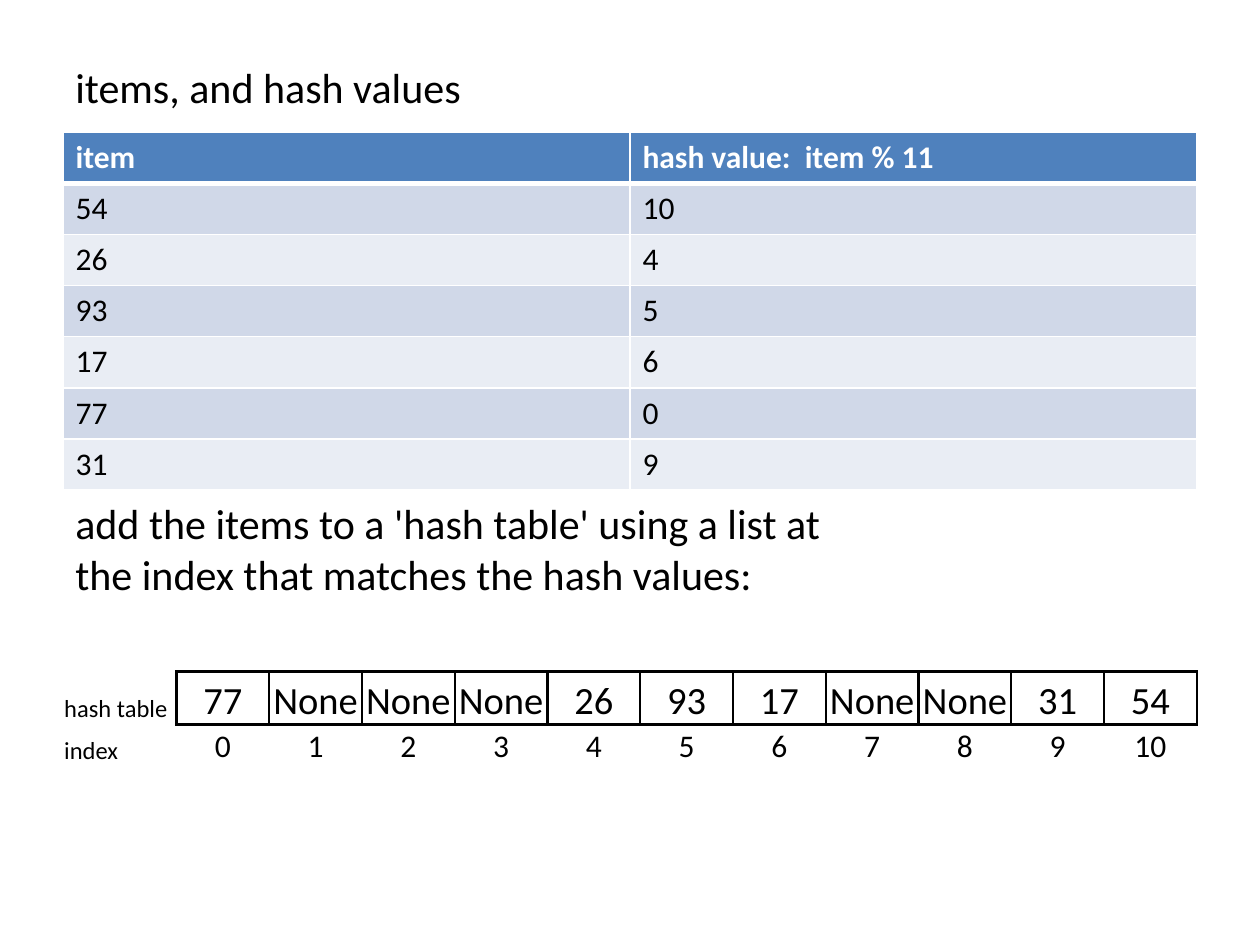
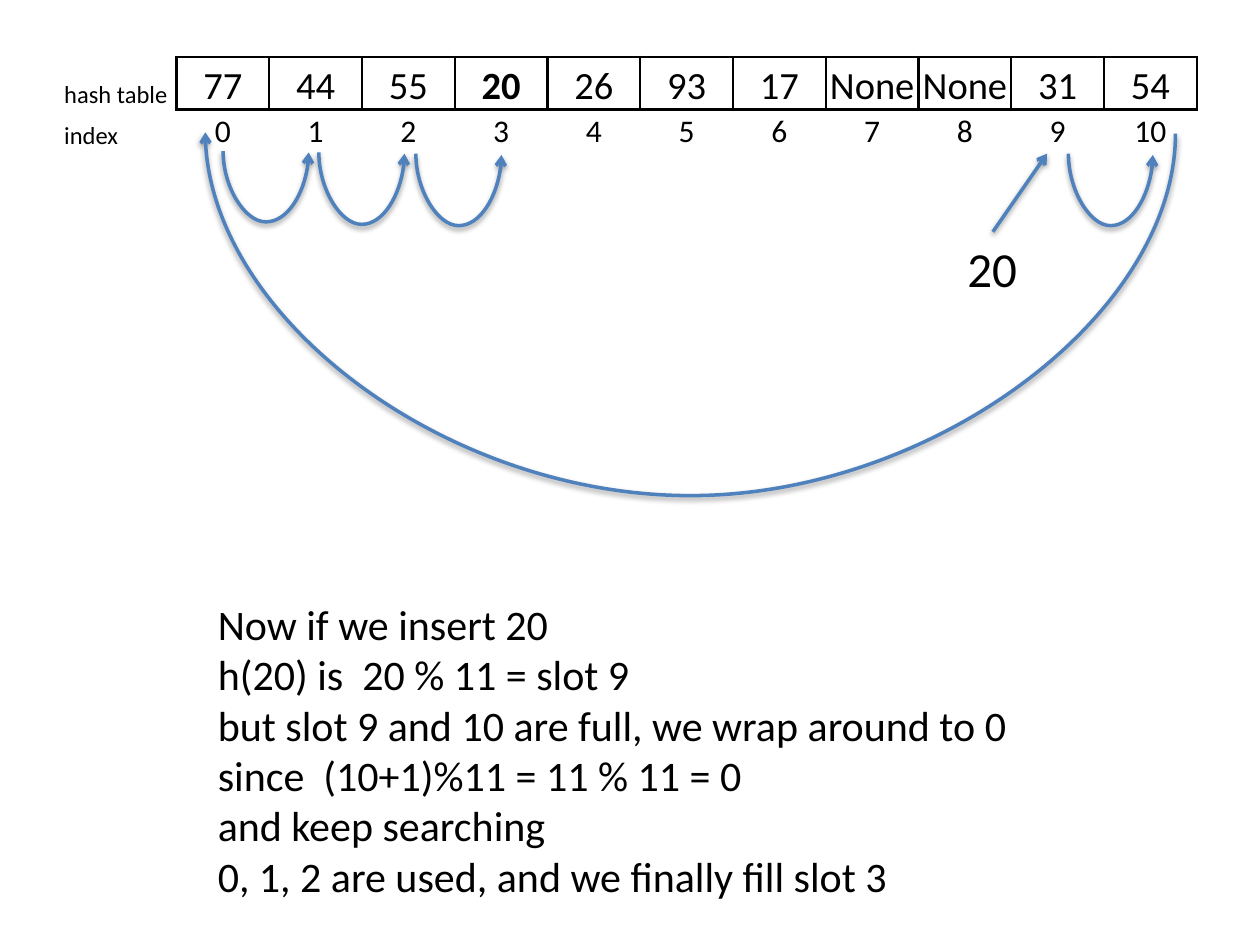
from dataclasses import dataclass

from lxml.etree import SubElement
from pptx import Presentation
from pptx.dml.color import RGBColor
from pptx.enum.shapes import MSO_CONNECTOR as Link
from pptx.enum.text import MSO_ANCHOR as Anchor, MSO_AUTO_SIZE as AutoSize, PP_ALIGN as Align
from pptx.oxml.ns import qn
from pptx.util import Emu, Pt

EMU_PER_PX = 9144
SLOT_COUNT = 11
ITEMS = [54, 26, 93, 17, 77, 31]
PLAIN_TABLE = "{2D5ABB26-0587-4C30-8999-92F81FD0307C}"
SIDES = ("L", "R", "T", "B")


@dataclass(frozen=True)
class Theme:
    font: str = "Calibri"
    ink: str = "000000"
    white: str = "FFFFFF"
    accent: str = "4F81BD"
    bands: tuple[str, str] = ("D0D8E8", "E9EDF4")
    label_size: int = 14
    cell_size: int = 18
    slot_size: int = 22
    body_size: int = 24
    probe_size: int = 28
    probe_line: int = 2
    grid_line: float = 1.5
    thin_line: int = 1
    header_line: int = 3


@dataclass(frozen=True)
class Box:
    left: int
    top: int
    width: int
    height: int


@dataclass(frozen=True)
class Note:
    lines: tuple[str, ...]
    box: Box
    size: int
    wrap: bool = True


@dataclass(frozen=True)
class Hop:
    start: int
    end: int
    top: int
    depth: int


THEME = Theme()

ITEM_BOX = Box(50, 105, 900, 284)
ITEM_NOTES = (
    Note(("items, and hash values",), Box(50, 44, 657, 50), THEME.body_size),
    Note(("add the items to a 'hash table' using a list at the index that matches the hash values:",),
         Box(50, 390, 657, 91), THEME.body_size),
)
PROBE_NOTE = Note(
    ("Now if we insert 20",
     "h(20) is  20 % 11 = slot 9",
     "but slot 9 and 10 are full, we wrap around to 0",
     "since  (10+1)%11 = 11 % 11 = 0",
     "and keep searching",
     "0, 1, 2 are used, and we finally fill slot 3"),
    Box(163, 470, 655, 250), THEME.body_size, False)
INSERTED = Note(("20",), Box(758, 184, 60, 57), THEME.probe_size, False)
HOPS = (
    Hop(177, 245, 120, 57),
    Hop(253, 321, 121, 58),
    Hop(848, 915, 122, 58),
    Hop(330, 398, 122, 58),
    Hop(933, 163, 105, 292),
)


def px(length: float) -> Emu:
    return Emu(round(length * EMU_PER_PX))


def place(box: Box) -> tuple[Emu, Emu, Emu, Emu]:
    return px(box.left), px(box.top), px(box.width), px(box.height)


def apply(target, formats: dict) -> None:
    for name, value in formats.items():
        setattr(target, name, value)


def write(paragraph, text: str, size: int, color: str = THEME.ink,
          bold: bool = False, align=Align.LEFT) -> None:
    paragraph.alignment = align
    run = paragraph.add_run()
    run.text = text
    apply(run.font, {"name": THEME.font, "size": Pt(size), "bold": bold})
    run.font.color.rgb = RGBColor.from_string(color)


def add_note(slide, note: Note):
    holder = slide.shapes.add_textbox(*place(note.box))
    frame = holder.text_frame
    apply(frame, {"word_wrap": note.wrap, "auto_size": AutoSize.SHAPE_TO_FIT_TEXT})
    for number, line in enumerate(note.lines):
        paragraph = frame.add_paragraph() if number else frame.paragraphs[0]
        write(paragraph, line, note.size)
    return holder


def set_borders(cell, color: str, widths: dict[str, float]) -> None:
    properties = cell._tc.get_or_add_tcPr()
    drawn = [side for side in SIDES if side in widths]
    for position, side in enumerate(drawn):
        edge = SubElement(properties, qn(f"a:ln{side}"), w=str(Pt(widths[side])))
        fill = SubElement(edge, qn("a:solidFill"))
        SubElement(fill, qn("a:srgbClr"), val=color)
        properties.insert(position, edge)


def add_grid(slide, box: Box, rows: int, columns: int):
    frame = slide.shapes.add_table(rows, columns, *place(box))
    apply(frame.table, {"first_row": False, "horz_banding": False})
    for style in frame.element.iter(qn("a:tableStyleId")):
        style.text = PLAIN_TABLE
    return frame.table


def add_item_table(slide) -> None:
    entries = [("item", f"hash value:  item % {SLOT_COUNT}")]
    entries += [(str(item), str(item % SLOT_COUNT)) for item in ITEMS]
    grid = add_grid(slide, ITEM_BOX, len(entries), 2)
    for row, entry in enumerate(entries):
        header = row == 0
        fill = THEME.accent if header else THEME.bands[(row - 1) % 2]
        widths = dict.fromkeys(SIDES, THEME.thin_line)
        if header:
            widths["B"] = THEME.header_line
        elif row == 1:
            widths["T"] = THEME.header_line
        for column, text in enumerate(entry):
            cell = grid.cell(row, column)
            cell.fill.solid()
            cell.fill.fore_color.rgb = RGBColor.from_string(fill)
            write(cell.text_frame.paragraphs[0], text, THEME.cell_size,
                  THEME.white if header else THEME.ink, header)
            set_borders(cell, THEME.white, widths)


def add_hash_table(slide, top: int, slots: list, new_slot: int = -1) -> None:
    label_width, row_heights = 90, (42, 33)
    box = Box(50, top, 900, sum(row_heights))
    grid = add_grid(slide, box, 2, len(slots) + 1)
    for row, height in zip(grid.rows, row_heights):
        row.height = px(height)
    slot_width = (box.width - label_width) / len(slots)
    for column, width in enumerate([label_width] + [slot_width] * len(slots)):
        grid.columns[column].width = px(width)

    rows = (
        ("hash table", slots, THEME.slot_size, "R", SIDES),
        ("index", range(len(slots)), THEME.cell_size, "", "T"),
    )
    for row, (label, values, size, label_sides, value_sides) in enumerate(rows):
        for column, value in enumerate([label, *values]):
            is_label = column == 0
            cell = grid.cell(row, column)
            cell.fill.background()
            apply(cell, {"margin_left": px(1), "margin_right": px(1), "margin_top": px(1),
                         "margin_bottom": 0, "vertical_anchor": Anchor.BOTTOM})
            write(cell.text_frame.paragraphs[0], str(value),
                  THEME.label_size if is_label else size,
                  bold=row == 0 and column == new_slot + 1 and not is_label,
                  align=Align.LEFT if is_label else Align.CENTER)
            sides = label_sides if is_label else value_sides
            set_borders(cell, THEME.ink, dict.fromkeys(sides, THEME.grid_line))


def style_probe(connector) -> None:
    connector.line.width = Pt(THEME.probe_line)
    connector.line.color.rgb = RGBColor.from_string(THEME.accent)
    properties = connector.element.spPr
    SubElement(properties.find(qn("a:ln")), qn("a:tailEnd"), type="arrow")
    effects = SubElement(properties, qn("a:effectLst"))
    shadow = SubElement(effects, qn("a:outerShdw"), blurRad="40000", dist="20000",
                        dir="5400000", rotWithShape="0")
    color = SubElement(shadow, qn("a:srgbClr"), val=THEME.ink)
    SubElement(color, qn("a:alpha"), val="38000")


def add_hop(slide, hop: Hop) -> None:
    drop = 1
    span = abs(hop.end - hop.start)
    forward = hop.end > hop.start
    left = (hop.start + hop.end - drop) / 2
    top = hop.top + (drop - span) / 2
    curve = slide.shapes.add_connector(
        Link.CURVE, px(left + drop), px(top), px(left), px(top + span))
    properties = curve.element.spPr
    properties.find(qn("a:xfrm")).set("rot", str((270 if forward else 90) * 60000))
    bend = hop.depth * 100000 // drop * (1 if forward else -1)
    guides = properties.find(qn("a:prstGeom")).find(qn("a:avLst"))
    SubElement(guides, qn("a:gd"), name="adj1", fmla=f"val {bend}")
    style_probe(curve)


def build_items_slide(slide, slots: list) -> None:
    add_item_table(slide)
    for note in ITEM_NOTES:
        add_note(slide, note)
    add_hash_table(slide, 533, slots)


def build_probe_slide(slide, slots: list) -> None:
    add_hash_table(slide, 45, slots, new_slot=3)
    add_note(slide, PROBE_NOTE)
    inserted = add_note(slide, INSERTED)
    first_probe = slide.shapes.add_connector(
        Link.STRAIGHT, px(788), px(184), px(831), px(122))
    first_probe.begin_connect(inserted, 0)
    style_probe(first_probe)
    for hop in HOPS:
        add_hop(slide, hop)


def main() -> None:
    deck = Presentation()
    apply(deck, {"slide_width": px(1000), "slide_height": px(750)})
    blank = deck.slide_layouts[6]
    slots = [None] * SLOT_COUNT
    for item in ITEMS:
        slots[item % SLOT_COUNT] = item
    build_items_slide(deck.slides.add_slide(blank), slots)
    slots[1:4] = [44, 55, 20]
    build_probe_slide(deck.slides.add_slide(blank), slots)
    deck.save("out.pptx")


if __name__ == "__main__":
    main()
